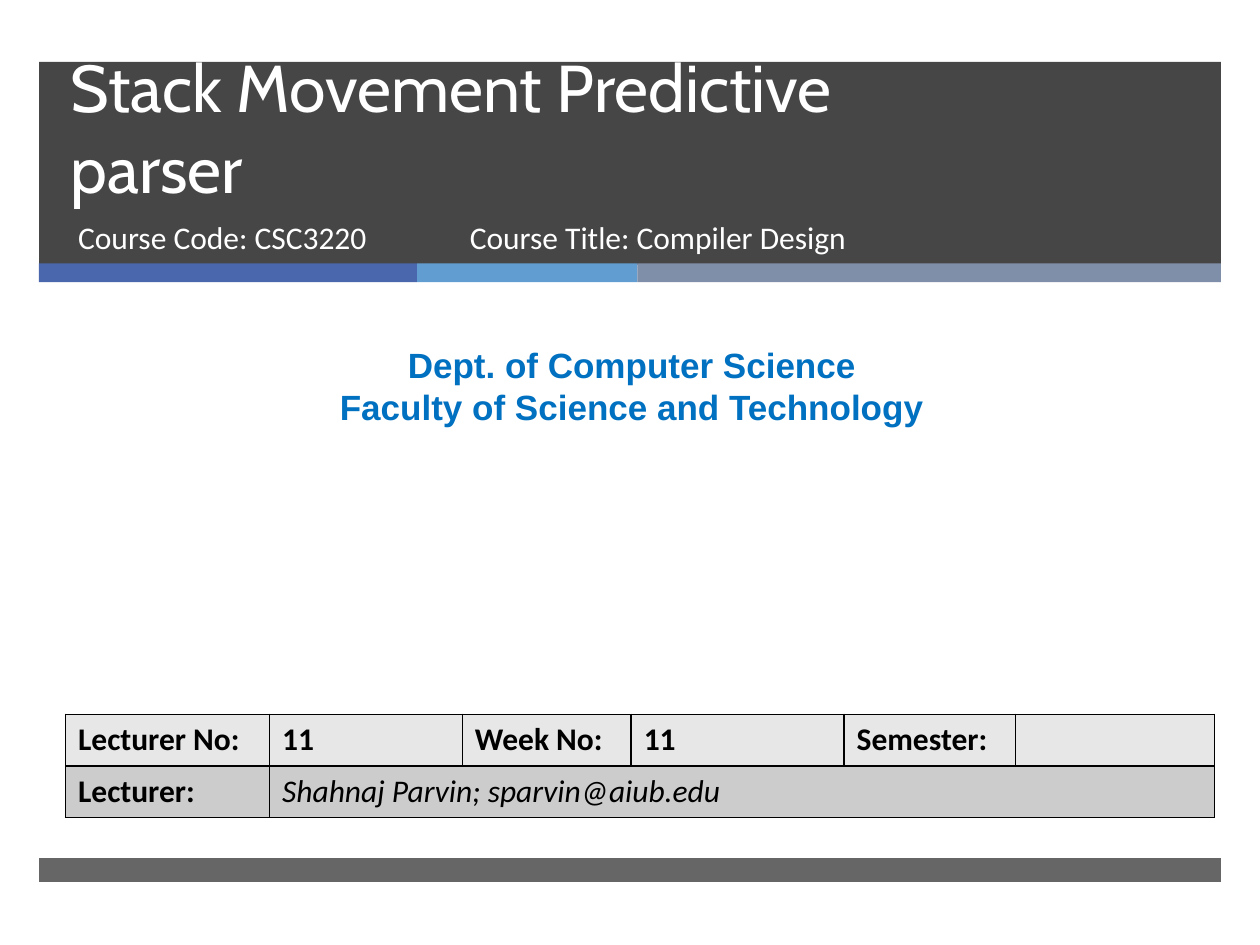
import pptx
import pptx.util
import pptx.dml.color
import pptx.enum.shapes
import pptx.enum.text
import pptx.oxml
import pptx.oxml.ns
from lxml import etree

Inches = pptx.util.Inches
Pt = pptx.util.Pt
ALIGN = pptx.enum.text.PP_ALIGN
ANCHOR = pptx.enum.text.MSO_ANCHOR
AUTO_SIZE = pptx.enum.text.MSO_AUTO_SIZE

COLORS = {
    "band": "262626", "blue": "4A66AC", "sky": "629DD1", "slate": "7F8FA9",
    "white": "FFFFFF", "black": "000000", "department": "0070C0",
    "first_row": "E7E7E7", "second_row": "CCCCCC",
}
TITLE = ["Stack Movement Predictive ", "parser"]
COURSE_CODE = "Course Code: CSC3220"
COURSE_TITLE = "Course Title: Compiler Design"
DEPARTMENT = ["Dept. of Computer Science", "Faculty of Science and Technology"]
LECTURE_ROWS = [
    ["Lecturer No:", "11", "Week No:", "11", "Semester:", ""],
    ["Lecturer:", "Shahnaj Parvin; sparvin@aiub.edu"],
]
COLUMN_WIDTHS = [1.62, 1.53, 1.34, 1.69, 1.36, 1.58]
ROW_HEIGHT = 0.41
BAND_LEFT, BAND_WIDTH = 0.31, 9.38
BANDS = [(0.49, 1.61, 85), (6.81, 0.19, 70)]
STRIPES = [("blue", 3), ("sky", 1.75), ("slate", 4.63)]


def rgb(name):
    return pptx.dml.color.RGBColor.from_string(COLORS[name])


def place(shape, left, top, width, height):
    shape.left, shape.top = Inches(left), Inches(top)
    shape.width, shape.height = Inches(width), Inches(height)


def add_band(slide, left, top, width, height, color, opacity=100):
    shape = slide.shapes.add_shape(
        pptx.enum.shapes.MSO_SHAPE.RECTANGLE,
        Inches(left), Inches(top), Inches(width), Inches(height))
    shape.shadow.inherit = False
    shape.line.fill.background()
    shape.fill.solid()
    shape.fill.fore_color.rgb = rgb(color)
    if opacity < 100:
        fill = shape._element.spPr.find(pptx.oxml.ns.qn("a:solidFill"))
        etree.SubElement(fill[0], pptx.oxml.ns.qn("a:alpha"), val=str(opacity * 1000))


def add_run(paragraph, text, size, font_name, color, bold=False, italic=False):
    run = paragraph.add_run()
    run.text = text
    run.font.size = Pt(size)
    run.font.name = font_name
    run.font.color.rgb = rgb(color)
    run.font.bold = bold
    run.font.italic = italic


def prepare_frame(shape, anchor=ANCHOR.TOP):
    frame = shape.text_frame
    frame.word_wrap = True
    frame.auto_size = AUTO_SIZE.NONE
    frame.vertical_anchor = anchor
    paragraph = frame.paragraphs[0]
    paragraph.alignment = ALIGN.LEFT
    paragraph.space_before = Pt(0)
    return frame


def add_text_box(slide, left, top, width, height):
    return prepare_frame(slide.shapes.add_textbox(
        Inches(left), Inches(top), Inches(width), Inches(height)))


def add_cell_borders(cell):
    properties = cell._tc.get_or_add_tcPr()
    for position, side in enumerate(("lnL", "lnR", "lnT", "lnB")):
        properties.insert(position, pptx.oxml.parse_xml(
            f'<a:{side} {pptx.oxml.ns.nsdecls("a")} w="12700"><a:solidFill>'
            f'<a:srgbClr val="{COLORS["black"]}"/></a:solidFill></a:{side}>'))


def add_lecture_table(slide):
    row_count, column_count = len(LECTURE_ROWS), len(COLUMN_WIDTHS)
    table = slide.shapes.add_table(
        row_count, column_count, Inches(0.52), Inches(5.67),
        Inches(sum(COLUMN_WIDTHS)), Inches(ROW_HEIGHT * row_count)).table
    for column, width in zip(table.columns, COLUMN_WIDTHS):
        column.width = Inches(width)
    for row_index, texts in enumerate(LECTURE_ROWS):
        table.rows[row_index].height = Inches(ROW_HEIGHT)
        for column_index in range(column_count):
            cell = table.cell(row_index, column_index)
            cell.fill.solid()
            cell.fill.fore_color.rgb = rgb(("first_row", "second_row")[row_index])
            add_cell_borders(cell)
            text = texts[column_index] if column_index < len(texts) else ""
            if text:
                is_name = row_index == 1 and column_index == 1
                add_run(cell.text_frame.paragraphs[0], text, 18, "Calibri", "black",
                        bold=not is_name, italic=is_name)
    table.cell(1, 1).merge(table.cell(1, column_count - 1))


def main():
    presentation = pptx.Presentation()
    presentation.slide_width, presentation.slide_height = Inches(10), Inches(7.5)
    slide = presentation.slides.add_slide(presentation.slide_layouts[0])
    title, subtitle = slide.placeholders[0], slide.placeholders[1]

    for top, height, opacity in BANDS:
        add_band(slide, BAND_LEFT, top, BAND_WIDTH, height, "band", opacity)
    left = BAND_LEFT
    for color, width in STRIPES:
        add_band(slide, left, 2.09, width, 0.15, color)
        left += width

    for placeholder in (title, subtitle):
        slide.shapes._spTree.append(placeholder._element)

    place(title, 0.46, 0.5, 8.54, 1.19)
    paragraph = prepare_frame(title, ANCHOR.BOTTOM).paragraphs[0]
    paragraph.line_spacing = Pt(46)
    add_run(paragraph, TITLE[0], 37.8, "Cabin", "white")
    paragraph.add_line_break()
    add_run(paragraph, TITLE[1], 37.8, "Cabin", "white")

    place(subtitle, 0.52, 1.68, 3.05, 0.53)
    add_run(prepare_frame(subtitle).paragraphs[0], COURSE_CODE, 18, "Calibri", "white")

    frame = add_text_box(slide, 0.08, 2.68, 9.87, 0.77)
    for index, text in enumerate(DEPARTMENT):
        paragraph = frame.add_paragraph() if index else frame.paragraphs[0]
        paragraph.alignment = ALIGN.CENTER
        add_run(paragraph, text, 20, "Arial", "department", bold=True)

    add_lecture_table(slide)
    frame = add_text_box(slide, 3.63, 1.68, 4.55, 0.53)
    add_run(frame.paragraphs[0], COURSE_TITLE, 18, "Calibri", "white")

    presentation.save("out.pptx")


if __name__ == "__main__":
    main()
